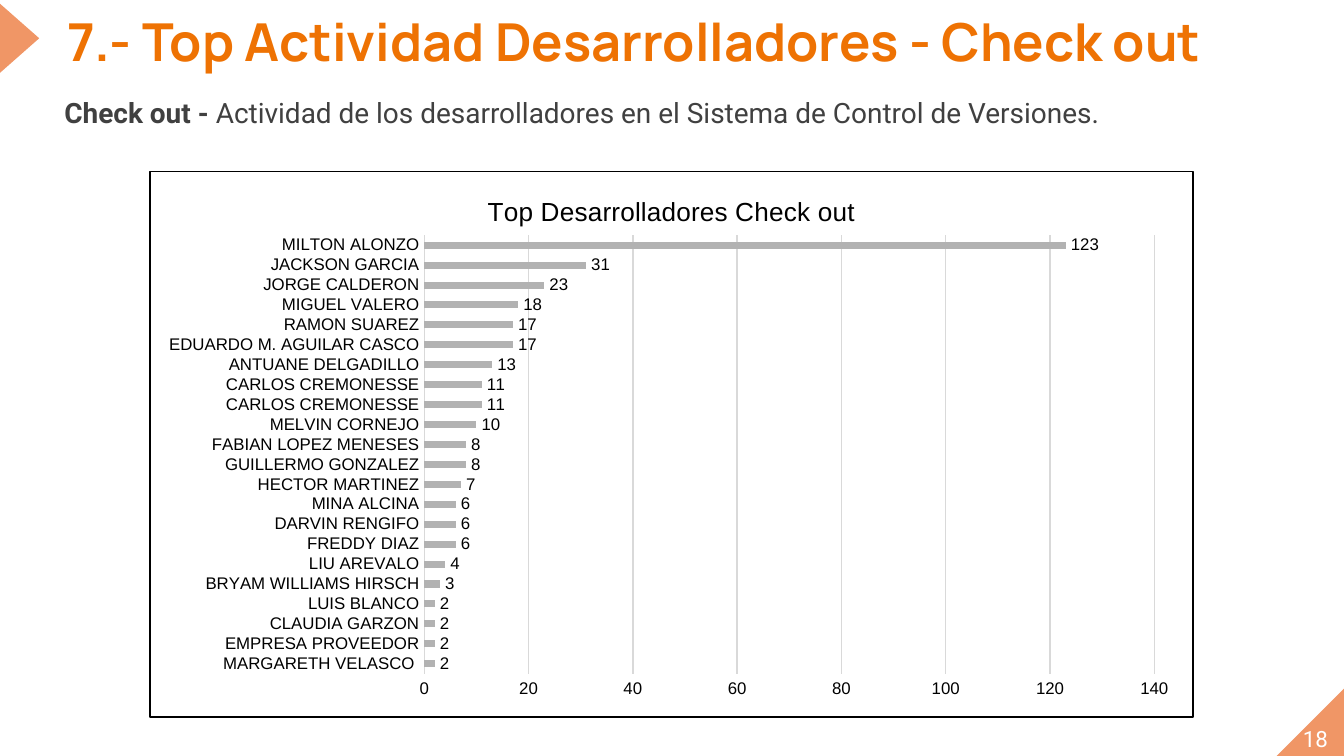
from lxml import etree
from pptx import Presentation
from pptx import util as u
from pptx.chart.data import CategoryChartData
from pptx.dml.color import RGBColor
from pptx.enum import chart as ch, shapes, text
from pptx.oxml import parse_xml
from pptx.oxml.ns import nsdecls, qn

PEACH, ORANGE, DARK = "F09666", "EE7203", "404040"
WHITE, BLACK, GRID, BAR = "FFFFFF", "000000", "D9D9D9", "B2B2B2"

DATA = [
    ("MILTON ALONZO", 123), ("JACKSON GARCIA", 31), ("JORGE CALDERON", 23),
    ("MIGUEL VALERO", 18), ("RAMON SUAREZ", 17),
    ("EDUARDO M. AGUILAR CASCO", 17), ("ANTUANE DELGADILLO", 13),
    ("CARLOS CREMONESSE", 11), ("CARLOS CREMONESSE", 11),
    ("MELVIN CORNEJO", 10), ("FABIAN LOPEZ MENESES", 8),
    ("GUILLERMO GONZALEZ", 8), ("HECTOR MARTINEZ", 7), ("MINA ALCINA", 6),
    ("DARVIN RENGIFO", 6), ("FREDDY DIAZ", 6), ("LIU AREVALO", 4),
    ("BRYAM WILLIAMS HIRSCH", 3), ("LUIS BLANCO", 2), ("CLAUDIA GARZON", 2),
    ("EMPRESA PROVEEDOR", 2), ("MARGARETH VELASCO ", 2),
]


def color(code):
    return RGBColor.from_string(code)


def place(box):
    return [u.Pt(n) for n in box]


def style(font, face, size, code, bold=False):
    font.name, font.size, font.bold = face, u.Pt(size), bold
    font.color.rgb = color(code)


def add_mark(slide, kind, box, turn=0, flip=False):
    mark = slide.shapes.add_shape(kind, *place(box))
    mark.shadow.inherit = False
    mark.fill.solid()
    mark.fill.fore_color.rgb = color(PEACH)
    mark.line.fill.background()
    mark.rotation = turn
    if flip:
        mark.element.spPr.xfrm.set("flipH", "1")


def add_text(slide, box, runs, align, inset=(0, 0), anchor="TOP", space=1.0):
    frame = slide.shapes.add_textbox(*place(box)).text_frame
    frame.word_wrap = True
    frame.vertical_anchor = getattr(text.MSO_ANCHOR, anchor)
    frame.margin_left = frame.margin_right = u.Pt(inset[0])
    frame.margin_top = frame.margin_bottom = u.Pt(inset[1])
    para = frame.paragraphs[0]
    para.alignment = getattr(text.PP_ALIGN, align)
    para.line_spacing = space
    for words, *look in runs:
        run = para.add_run()
        run.text = words
        style(run.font, *look)


def set_line(line, code):
    line.color.rgb = color(code)
    line.width = u.Pt(0.75)


def set_plot(chart, x, y, w, h):
    area = chart._chartSpace.chart.plotArea
    for old in area.findall(qn("c:layout")):
        area.remove(old)
    layout = etree.Element(qn("c:layout"))
    manual = etree.SubElement(layout, qn("c:manualLayout"))
    parts = [("layoutTarget", "inner"), ("xMode", "edge"), ("yMode", "edge"),
             ("x", x), ("y", y), ("w", w), ("h", h)]
    for name, val in parts:
        etree.SubElement(manual, qn("c:" + name)).set("val", str(val))
    area.insert(0, layout)


def set_frame(chart, fill, edge):
    chart._chartSpace.chart.addnext(parse_xml(
        f'<c:spPr {nsdecls("c", "a")}>'
        f'<a:solidFill><a:srgbClr val="{fill}"/></a:solidFill>'
        f'<a:ln w="{u.Pt(0.75)}"><a:solidFill><a:srgbClr val="{edge}"/>'
        '</a:solidFill></a:ln></c:spPr>'))


def add_bars(slide, box):
    data = CategoryChartData()
    data.categories = [name for name, _ in reversed(DATA)]
    data.add_series("Series 1", [val for _, val in reversed(DATA)])
    chart = slide.shapes.add_chart(
        ch.XL_CHART_TYPE.BAR_CLUSTERED, *place(box), data).chart
    style(chart.font, "Arial", 10, BLACK)
    chart.has_legend = False
    chart.has_title = True
    run = chart.chart_title.text_frame.paragraphs[0].add_run()
    run.text = "Top Desarrolladores Check out"
    style(run.font, "Arial", 14, BLACK)
    chart.chart_title.include_in_layout = False

    cats, vals = chart.category_axis, chart.value_axis
    for axis in (cats, vals):
        axis.major_tick_mark = axis.minor_tick_mark = ch.XL_TICK_MARK.NONE
        style(axis.tick_labels.font, "Arial", 9, BLACK)
    cats.has_major_gridlines = False
    set_line(cats.format.line, GRID)
    vals.format.line.fill.background()
    vals.has_major_gridlines = True
    set_line(vals.major_gridlines.format.line, GRID)
    vals.minimum_scale, vals.maximum_scale, vals.major_unit = 0, 140, 20

    plot = chart.plots[0]
    plot.gap_width = 182
    plot.vary_by_categories = False
    bars = plot.series[0]
    bars.format.fill.solid()
    bars.format.fill.fore_color.rgb = color(BAR)
    tags = bars.data_labels
    tags.show_value = True
    tags.position = ch.XL_LABEL_POSITION.OUTSIDE_END
    style(tags.font, "Arial", 9, BLACK)
    set_plot(chart, 0.263, 0.117, 0.7, 0.804)
    set_frame(chart, WHITE, BLACK)


def main():
    deck = Presentation()
    deck.slide_width, deck.slide_height = u.Pt(720), u.Pt(405)
    slide = deck.slides.add_slide(deck.slide_layouts[6])
    kind = shapes.MSO_SHAPE
    add_mark(slide, kind.RIGHT_TRIANGLE, (684, 368, 37, 37), flip=True)
    add_mark(slide, kind.ISOSCELES_TRIANGLE, (-8, 10, 37, 21), turn=90)
    add_text(slide, (675.4, 366, 36, 36.7),
             [("18", "Roboto", 12, WHITE)], "RIGHT", anchor="BOTTOM")
    add_text(slide, (36, 11.5, 639.4, 27.4),
             [("7.- Top Actividad Desarrolladores - Check out",
               "Manrope", 28, ORANGE, True)], "LEFT", space=0.8)
    add_text(slide, (27.4, 47.5, 700.6, 25.2),
             [("Check out - ", "Roboto", 15, DARK, True),
              ("Actividad de los desarrolladores en el Sistema de Control "
               "de Versiones. ", "Roboto", 15, DARK)],
             "JUSTIFY", inset=(7.2, 3.6))
    add_bars(slide, (80, 91.5, 559.5, 293))
    deck.save("out.pptx")


if __name__ == "__main__":
    main()
